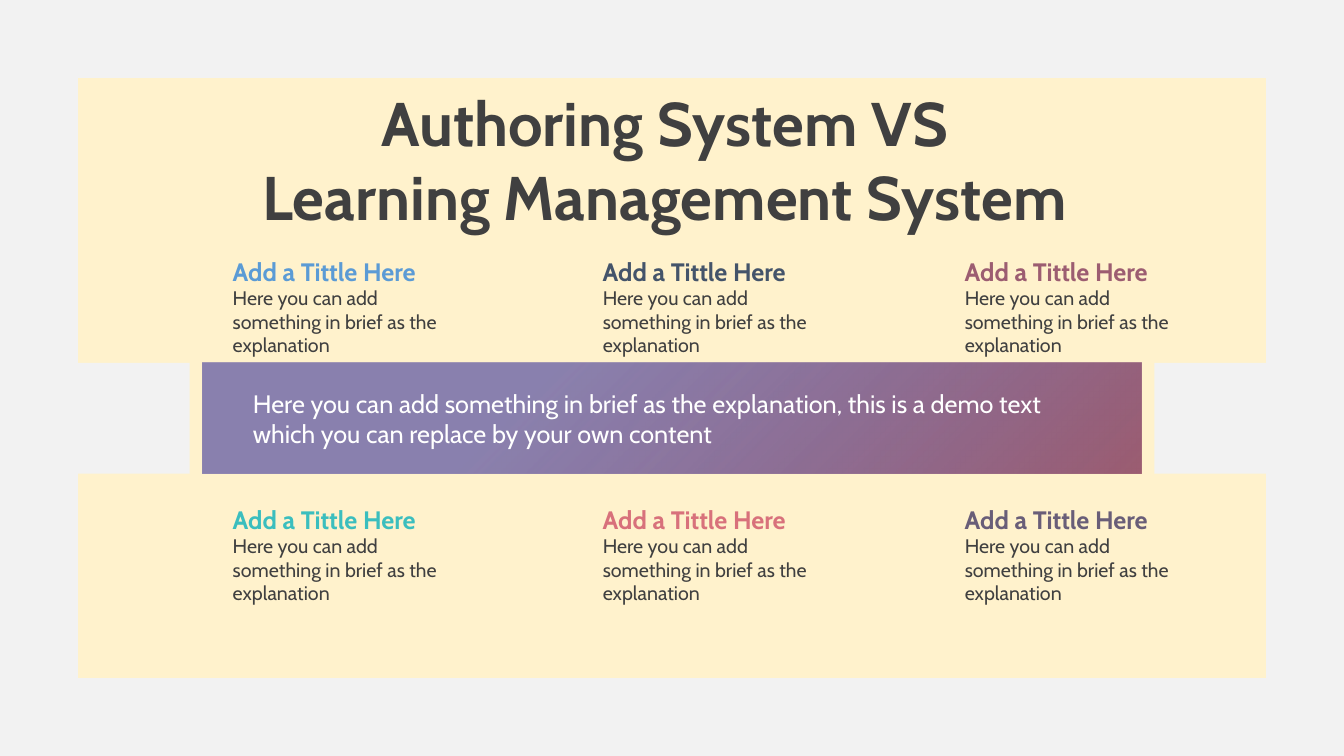
from lxml.etree import SubElement
from pptx import Presentation
from pptx.dml.color import RGBColor
from pptx.enum.shapes import MSO_SHAPE as Shape
from pptx.enum.text import MSO_AUTO_SIZE as AutoSize, PP_ALIGN as Align
from pptx.oxml.ns import qn
from pptx.util import Inches, Pt

WIDTH, HEIGHT = 13.33, 7.5
FONT = "Cabin"
COLORS = {
    "cream": "FFF2CC",
    "gray": "F2F2F2",
    "text": "404040",
    "white": "FFFFFF",
    "violet": "5850A2",
    "wine": "9C5D71",
    "blue": "5B9BD5",
    "slate": "44546A",
    "teal": "3BBEBE",
    "rose": "D8717B",
    "plum": "695E78",
}
COLUMNS = (2.21, 5.88, 9.47)
ROWS = (2.49, 4.95)
TOPIC_COLORS = (("blue", "slate", "wine"), ("teal", "rose", "plum"))
MARGIN = 0.76
BAND_TOP, BAND_HEIGHT = 3.6, 1.1
NOTCH_WIDTH = 1.12
BRIEF = "Here you can add something in brief as the explanation"


def rgb(name):
    return RGBColor.from_string(COLORS[name])


def add_text(slide, text, x, y, w, h, size=14, color="text", bold=False, align=Align.LEFT):
    tf = slide.shapes.add_textbox(Inches(x), Inches(y), Inches(w), Inches(h)).text_frame
    tf.word_wrap = True
    tf.auto_size = AutoSize.SHAPE_TO_FIT_TEXT
    tf.text = text
    for p in tf.paragraphs:
        p.alignment = align
        for r in p.runs:
            r.font.name = FONT
            r.font.size = Pt(size)
            r.font.bold = bold
            r.font.color.rgb = rgb(color)


def add_block(slide, x, y, w, h, kind=Shape.RECTANGLE, color="gray"):
    sp = slide.shapes.add_shape(kind, Inches(x), Inches(y), Inches(w), Inches(h))
    sp.shadow.inherit = False
    sp.line.fill.background()
    sp.fill.solid()
    sp.fill.fore_color.rgb = rgb(color)
    return sp


def add_banner(slide, x, y, w, h):
    fill = add_block(slide, x, y, w, h).fill
    fill.gradient()
    fill.gradient_angle = 315
    for stop, name, position in zip(fill.gradient_stops, ("violet", "wine"), (0.34, 1)):
        stop.color.rgb = rgb(name)
        stop.position = position
    first_color = slide.shapes[-1]._element.spPr.find(".//" + qn("a:srgbClr"))
    SubElement(first_color, qn("a:alpha"), val="69000")


def add_topic(slide, x, y, color):
    add_text(slide, BRIEF, x, y + 0.3, 2.52, 0.57)
    add_text(slide, "Add a Tittle Here", x, y, 2.94, 0.4, size=18, color=color, bold=True)


def main():
    prs = Presentation()
    prs.slide_width, prs.slide_height = Inches(WIDTH), Inches(HEIGHT)
    slide = prs.slides.add_slide(prs.slide_layouts[6])
    slide.background.fill.solid()
    slide.background.fill.fore_color.rgb = rgb("cream")

    frame = add_block(slide, 0, 0, WIDTH, HEIGHT, kind=Shape.FRAME)
    frame.adjustments[0] = 0.103
    for x in (MARGIN, WIDTH - MARGIN - NOTCH_WIDTH):
        add_block(slide, x, BAND_TOP, NOTCH_WIDTH, BAND_HEIGHT)
    add_banner(slide, 2.01, BAND_TOP, 9.31, BAND_HEIGHT)

    for y, colors in zip(ROWS, TOPIC_COLORS):
        for x, color in zip(COLUMNS, colors):
            add_topic(slide, x, y, color)

    add_text(slide, "Authoring System VS \nLearning Management System ",
             MARGIN, 0.79, WIDTH - 2 * MARGIN, 1.58, size=44, bold=True, align=Align.CENTER)
    add_text(slide, BRIEF + ", this is a demo text which you can replace by your own content",
             2.41, 3.8, 8.51, 0.71, size=18, color="white")
    prs.save("out.pptx")


if __name__ == "__main__":
    main()
